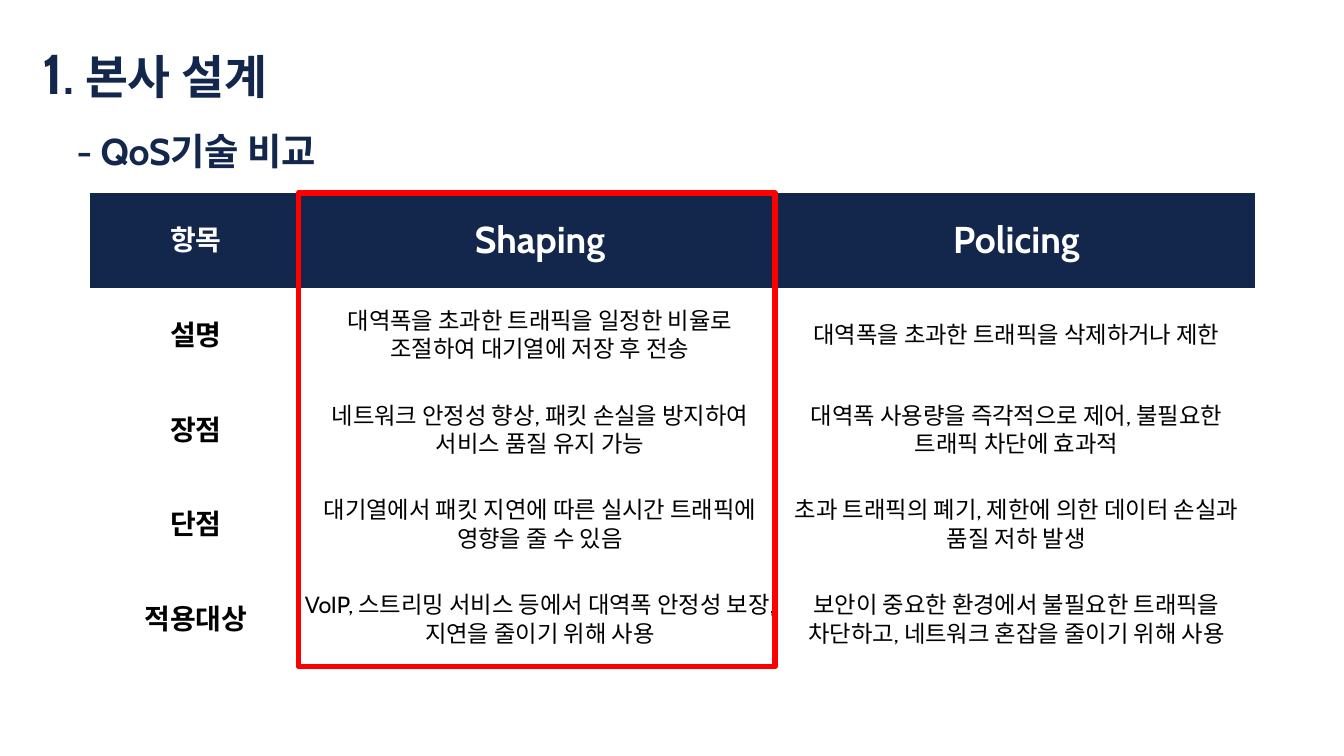
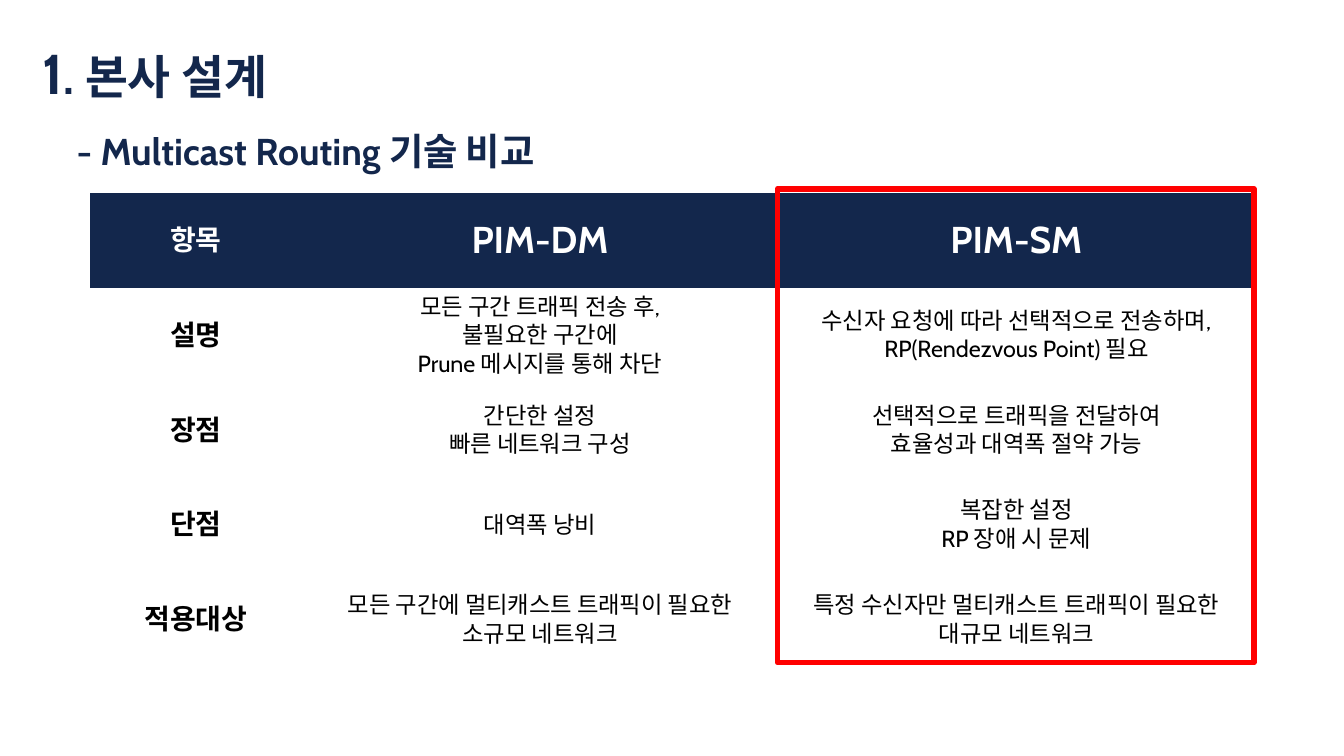
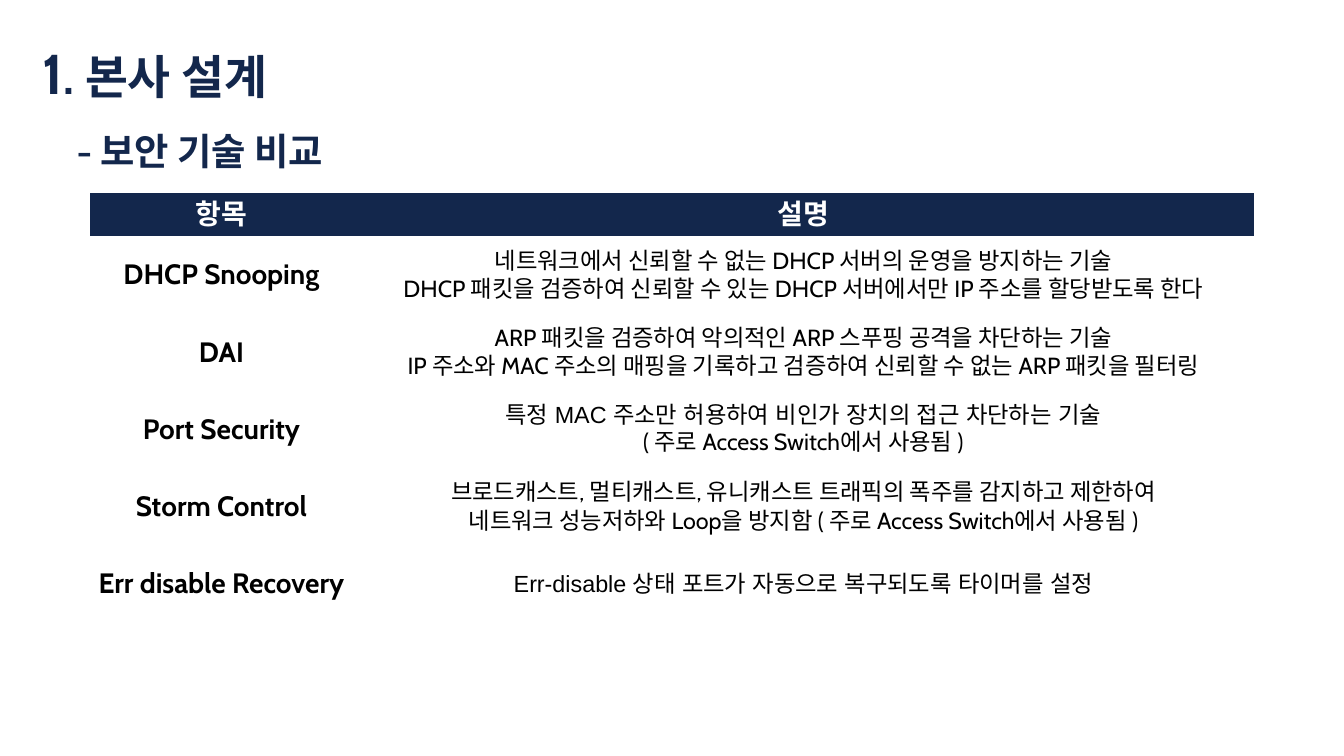
from lxml import etree
from pptx import Presentation
from pptx.dml.color import RGBColor
from pptx.enum.shapes import MSO_SHAPE
from pptx.enum.text import MSO_ANCHOR, PP_ALIGN
from pptx.oxml.ns import qn
from pptx.util import Inches, Pt

RECTANGLE = MSO_SHAPE.RECTANGLE
MIDDLE = MSO_ANCHOR.MIDDLE
CENTER = PP_ALIGN.CENTER

NAVY, WHITE, BLACK, RED = "13274C", "FFFFFF", "000000", "FF0000"
FONT, PLAIN_FONT = "Cabin", "Arial"
LABEL_SIZE, BODY_SIZE = 30, 25
TABLE_LEFT, TABLE_TOP = 1.34, 2.87
COMPARISON_COLUMNS = [3.15, 7.09, 7.09]
COMPARISON_ROWS = [1.41] * 5

SECTION = ("1", ". 본사 설계")
PLAIN_LINES = {
    "특정 MAC 주소만 허용하여 비인가 장치의 접근 차단하는 기술",
    "Err-disable 상태 포트가 자동으로 복구되도록 타이머를 설정",
}

SLIDES = [
    {
        "subtitle": "- QoS기술 비교",
        "columns": COMPARISON_COLUMNS,
        "row_heights": COMPARISON_ROWS,
        "heading_size": 40,
        "highlight": (4.44, 2.87),
        "rows": [
            ("항목", "Shaping", "Policing"),
            ("설명",
             "대역폭을 초과한 트래픽을 일정한 비율로 조절하여 대기열에 저장 후 전송",
             "대역폭을 초과한 트래픽을 삭제하거나 제한"),
            ("장점",
             "네트워크 안정성 향상, 패킷 손실을 방지하여 서비스 품질 유지 가능",
             "대역폭 사용량을 즉각적으로 제어, 불필요한 트래픽 차단에 효과적"),
            ("단점",
             "대기열에서 패킷 지연에 따른 실시간 트래픽에 영향을 줄 수 있음",
             "초과 트래픽의 폐기, 제한에 의한 데이터 손실과 품질 저하 발생"),
            ("적용대상",
             "VoIP, 스트리밍 서비스 등에서 대역폭 안정성 보장, 지연을 줄이기 위해 사용",
             "보안이 중요한 환경에서 불필요한 트래픽을 차단하고, 네트워크 혼잡을 줄이기 위해 사용"),
        ],
    },
    {
        "subtitle": "- Multicast Routing 기술 비교",
        "columns": COMPARISON_COLUMNS,
        "row_heights": COMPARISON_ROWS,
        "heading_size": 40,
        "highlight": (11.57, 2.81),
        "rows": [
            ("항목", "PIM-DM", "PIM-SM"),
            ("설명",
             "모든 구간 트래픽 전송 후,\n불필요한 구간에\nPrune 메시지를 통해 차단",
             "수신자 요청에 따라 선택적으로 전송하며,\nRP(Rendezvous Point) 필요"),
            ("장점",
             "간단한 설정\n빠른 네트워크 구성",
             "선택적으로 트래픽을 전달하여\n효율성과 대역폭 절약 가능"),
            ("단점", "대역폭 낭비", "복잡한 설정\nRP 장애 시 문제"),
            ("적용대상",
             "모든 구간에 멀티캐스트 트래픽이 필요한\n소규모 네트워크",
             "특정 수신자만 멀티캐스트 트래픽이 필요한\n대규모 네트워크"),
        ],
    },
    {
        "subtitle": "- 보안 기술 비교",
        "columns": [3.91, 13.41],
        "row_heights": [0.64] + [1.15] * 5,
        "heading_size": LABEL_SIZE,
        "highlight": None,
        "rows": [
            ("항목", "설명"),
            ("DHCP Snooping",
             "네트워크에서 신뢰할 수 없는 DHCP 서버의 운영을 방지하는 기술\n"
             "DHCP 패킷을 검증하여 신뢰할 수 있는 DHCP 서버에서만 IP 주소를 할당받도록 한다"),
            ("DAI",
             "ARP 패킷을 검증하여 악의적인 ARP 스푸핑 공격을 차단하는 기술\n"
             "IP 주소와 MAC 주소의 매핑을 기록하고 검증하여 신뢰할 수 없는 ARP 패킷을 필터링"),
            ("Port Security",
             "특정 MAC 주소만 허용하여 비인가 장치의 접근 차단하는 기술\n"
             "( 주로 Access Switch에서 사용됨 )"),
            ("Storm Control",
             "브로드캐스트, 멀티캐스트, 유니캐스트 트래픽의 폭주를 감지하고 제한하여\n"
             "네트워크 성능저하와 Loop을 방지함 ( 주로 Access Switch에서 사용됨 )"),
            ("Err disable Recovery",
             "Err-disable 상태 포트가 자동으로 복구되도록 타이머를 설정"),
        ],
    },
]


def rgb(color):
    return RGBColor.from_string(color)


def style_run(run, size, color, bold=True, name=FONT):
    run.font.size = Pt(size)
    run.font.color.rgb = rgb(color)
    run.font.bold = bold
    run.font.name = name
    east_asian = etree.SubElement(run._r.get_or_add_rPr(), qn("a:ea"))
    east_asian.set("typeface", name)


def add_titles(slide, subtitle):
    titles = slide.shapes.add_textbox(Inches(0.32), 0, Inches(10.74), Inches(3.03))
    frame = titles.text_frame
    frame.word_wrap = True
    frame.margin_left = frame.margin_right = Inches(0.15)
    frame.margin_top = frame.margin_bottom = Inches(0.07)
    lines = [
        (0.17, zip(SECTION, (60, 50))),
        (0.67, [(subtitle, 40)]),
    ]
    for index, (indent, parts) in enumerate(lines):
        paragraph = frame.add_paragraph() if index else frame.paragraphs[0]
        paragraph.line_spacing = 1.5
        paragraph._p.get_or_add_pPr().set("marL", str(Inches(indent)))
        for text, size in parts:
            run = paragraph.add_run()
            run.text = text
            style_run(run, size, NAVY)


def clear_borders(cell):
    properties = cell._tc.get_or_add_tcPr()
    for side in ("a:lnL", "a:lnR", "a:lnT", "a:lnB"):
        border = etree.SubElement(properties, qn(side), w="0")
        etree.SubElement(border, qn("a:noFill"))


def fill_cell(cell, text, size, color, bold, background=None):
    cell.margin_left = cell.margin_right = cell.margin_top = Inches(0.01)
    cell.margin_bottom = 0
    cell.vertical_anchor = MIDDLE
    clear_borders(cell)
    if background:
        cell.fill.solid()
        cell.fill.fore_color.rgb = rgb(background)
    else:
        cell.fill.background()
    cell.text_frame.text = text
    for paragraph in cell.text_frame.paragraphs:
        paragraph.alignment = CENTER
        paragraph._p.get_or_add_pPr().set("hangingPunct", "0")
        name = PLAIN_FONT if paragraph.text in PLAIN_LINES else FONT
        for run in paragraph.runs:
            style_run(run, size, color, bold, name)


def add_comparison(slide, content):
    rows, widths, heights = content["rows"], content["columns"], content["row_heights"]
    table = slide.shapes.add_table(
        len(rows), len(widths), Inches(TABLE_LEFT), Inches(TABLE_TOP),
        Inches(sum(widths)), Inches(sum(heights))).table
    table.horz_banding = False
    table.first_row = False
    for column, width in zip(table.columns, widths):
        column.width = Inches(width)
    for row, height in zip(table.rows, heights):
        row.height = Inches(height)
    for r, texts in enumerate(rows):
        for c, text in enumerate(texts):
            cell = table.cell(r, c)
            if r == 0:
                size = content["heading_size"] if c else LABEL_SIZE
                fill_cell(cell, text, size, WHITE, True, NAVY)
            else:
                fill_cell(cell, text, BODY_SIZE if c else LABEL_SIZE, BLACK, c == 0)


def add_highlight(slide, left, top):
    highlight = slide.shapes.add_shape(
        RECTANGLE, Inches(left), Inches(top),
        Inches(COMPARISON_COLUMNS[1]), Inches(sum(COMPARISON_ROWS)))
    highlight.shadow.inherit = False
    highlight.fill.background()
    highlight.line.color.rgb = rgb(RED)
    highlight.line.width = Pt(6)


def main():
    deck = Presentation()
    deck.slide_width, deck.slide_height = Inches(20), Inches(11.25)
    for content in SLIDES:
        slide = deck.slides.add_slide(deck.slide_layouts[6])
        add_titles(slide, content["subtitle"])
        add_comparison(slide, content)
        if content["highlight"]:
            add_highlight(slide, *content["highlight"])
    deck.save("out.pptx")


if __name__ == "__main__":
    main()
